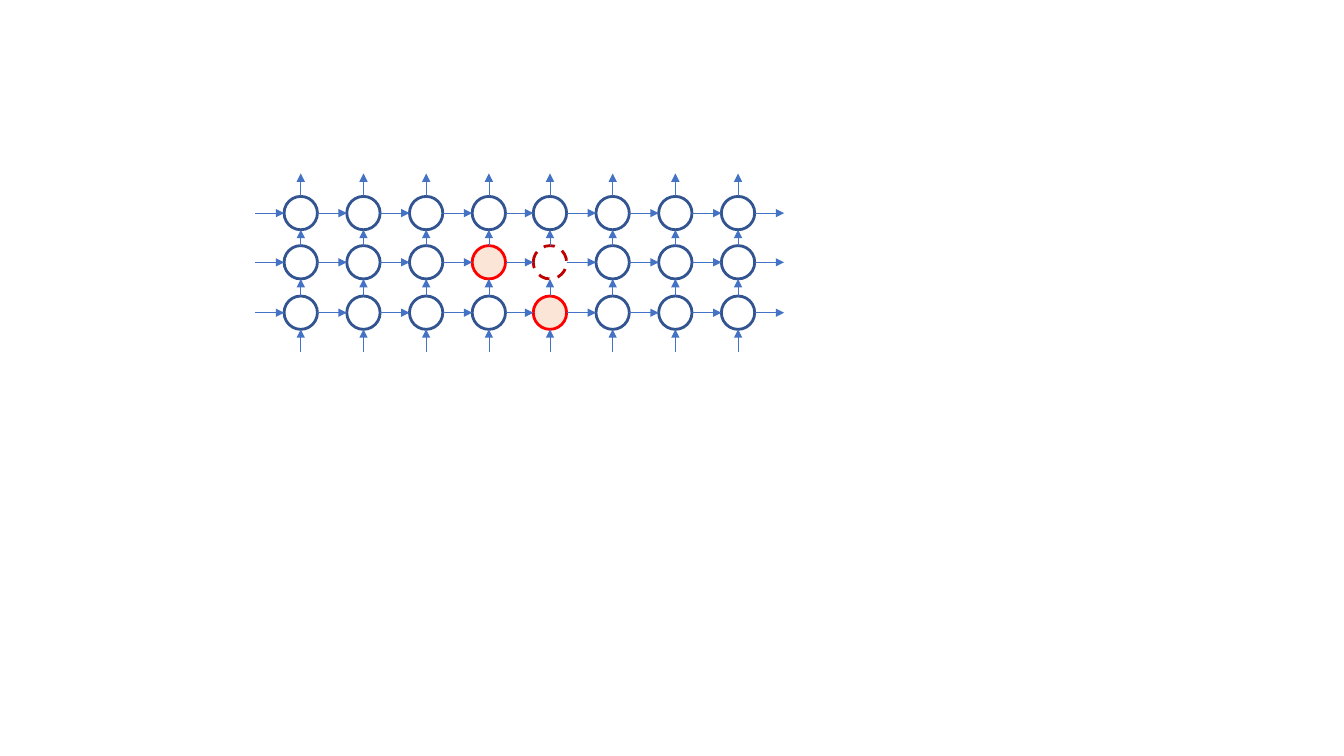
from dataclasses import dataclass
from itertools import pairwise

from lxml import etree
from pptx import Presentation
from pptx.dml.color import RGBColor
from pptx.enum import dml, shapes
from pptx.oxml.ns import qn
from pptx.slide import Slide
from pptx.util import Cm, Pt

RADIUS = 0.42
COLUMN_PITCH = 1.58
BLOCK_STARTS = (7.58, 13.86)
COLUMNS = [start + i * COLUMN_PITCH for start in BLOCK_STARTS for i in range(4)]
ROWS = [5.37, 6.61, 7.88]
LEFT_END, RIGHT_END = 6.43, 19.76
TOP_END, BOTTOM_END = 4.37, 8.88
ARROW_COLOUR = "4472C4"


@dataclass(frozen=True)
class NodeStyle:
    line: str
    fill: str | None = None
    dashed: bool = False


PLAIN = NodeStyle("325491")
SOURCE = NodeStyle("FF0000", fill="FBE5D6")
TARGET = NodeStyle("C00000", dashed=True)
# Keys are (row, column) in the grid
SPECIAL_NODES = {(1, 3): SOURCE, (2, 4): SOURCE, (1, 4): TARGET}


def colour(hex_value: str) -> RGBColor:
    return RGBColor.from_string(hex_value)


def draw_node(slide: Slide, x: float, y: float, style: NodeStyle) -> None:
    node = slide.shapes.add_shape(
        shapes.MSO_SHAPE.OVAL,
        Cm(x - RADIUS), Cm(y - RADIUS), Cm(2 * RADIUS), Cm(2 * RADIUS),
    )
    node.shadow.inherit = False
    if style.fill:
        node.fill.solid()
        node.fill.fore_color.rgb = colour(style.fill)
    else:
        node.fill.background()
    node.line.color.rgb = colour(style.line)
    node.line.width = Pt(2)
    if style.dashed:
        node.line.dash_style = dml.MSO_LINE.DASH


def draw_arrow(slide: Slide, x1: float, y1: float, x2: float, y2: float) -> None:
    arrow = slide.shapes.add_connector(
        shapes.MSO_CONNECTOR.STRAIGHT, Cm(x1), Cm(y1), Cm(x2), Cm(y2)
    )
    arrow.line.color.rgb = colour(ARROW_COLOUR)
    arrow.line.width = Pt(0.5)
    line = arrow.line._get_or_add_ln()
    etree.SubElement(line, qn("a:tailEnd"), type="triangle")
    etree.SubElement(arrow._element.spPr, qn("a:effectLst"))


def gaps(first: float, centres: list[float], last: float) -> list[tuple[float, float]]:
    """Return the free stretches along one axis, from first to last, between nodes."""
    step = RADIUS if last > first else -RADIUS
    edges = [first]
    for centre in centres:
        edges += [centre - step, centre + step]
    edges.append(last)
    return list(pairwise(edges))[::2]


def main() -> None:
    presentation = Presentation()
    presentation.slide_width = Cm(33.87)
    presentation.slide_height = Cm(19.05)
    slide = presentation.slides.add_slide(presentation.slide_layouts[6])

    for row, y in enumerate(ROWS):
        for column, x in enumerate(COLUMNS):
            draw_node(slide, x, y, SPECIAL_NODES.get((row, column), PLAIN))
        for start, end in gaps(LEFT_END, COLUMNS, RIGHT_END):
            draw_arrow(slide, start, y, end, y)

    for x in COLUMNS:
        for start, end in gaps(BOTTOM_END, ROWS[::-1], TOP_END):
            draw_arrow(slide, x, start, x, end)

    presentation.save("out.pptx")


if __name__ == "__main__":
    main()
